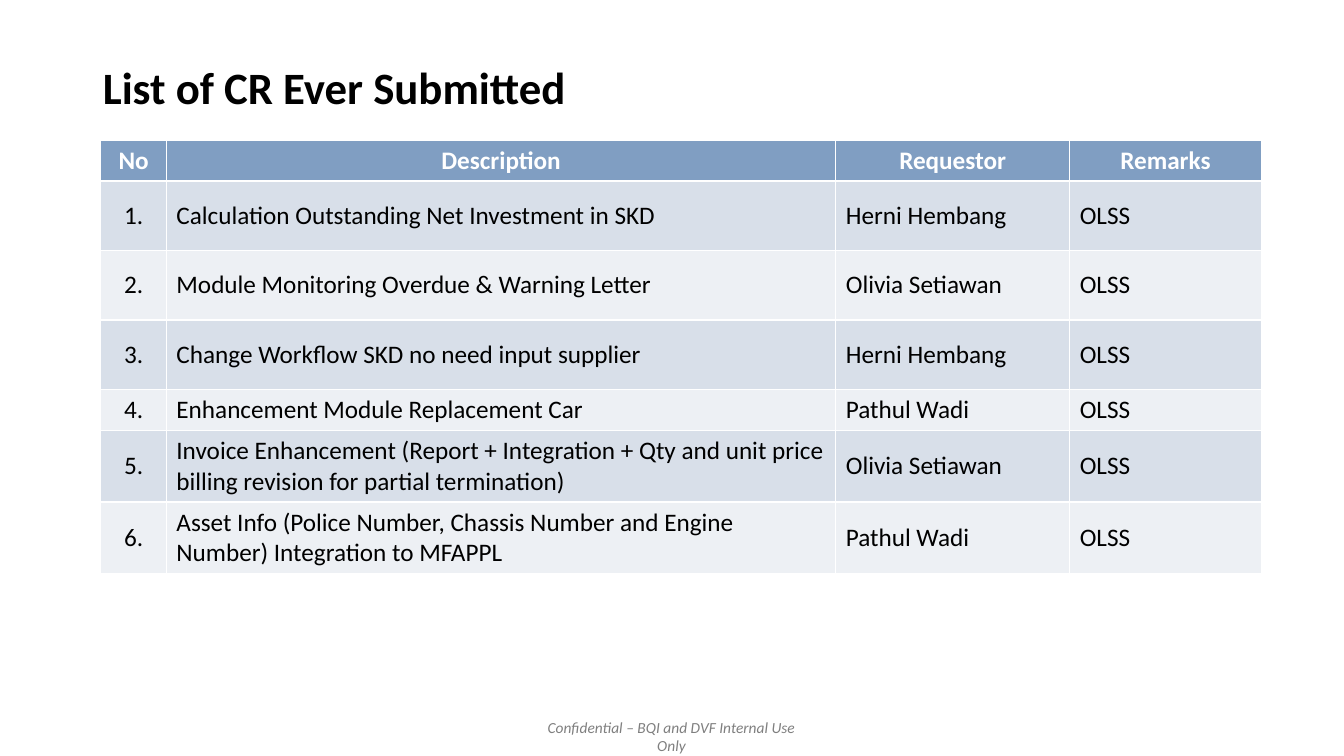
"""Build the slide that lists every change request submitted so far."""
from pptx import Presentation
from pptx.dml.color import RGBColor as RGB
from pptx.enum.text import MSO_ANCHOR as Anchor, PP_ALIGN as Align
from pptx.util import Inches, Pt

THEME = {
    "font": "Calibri",
    "title": {"size": Pt(32), "bold": True, "color": "000000"},
    "head": {"size": Pt(18), "bold": True, "color": "FFFFFF"},
    "body": {"size": Pt(18), "bold": False, "color": "000000"},
    "foot": {"size": Pt(11), "italic": True, "color": "7F7F7F"},
    "head_fill": "809EC2",
    "bands": ["D8DFE9", "EDF0F4"],
}
HEADS = ["No", "Description", "Requestor", "Remarks"]
ITEMS = [
    ("Calculation Outstanding Net Investment in SKD", "Herni Hembang"),
    ("Module Monitoring Overdue & Warning Letter", "Olivia Setiawan"),
    ("Change Workflow SKD no need input supplier", "Herni Hembang"),
    ("Enhancement Module Replacement Car", "Pathul Wadi"),
    ("Invoice Enhancement (Report + Integration + Qty and unit price "
     "billing revision for partial termination)", "Olivia Setiawan"),
    ("Asset Info (Police Number, Chassis Number and Engine Number) "
     "Integration to MFAPPL", "Pathul Wadi"),
]
WIDTHS = [0.65, 6.64, 2.32, 1.9]
HEIGHTS = [0.4, 0.69, 0.69, 0.69, 0.4, 0.69, 0.69]


def write(frame, text, style, align):
    frame.text = text
    para = frame.paragraphs[0]
    para.alignment = align
    font = para.runs[0].font
    font.name = THEME["font"]
    for key, value in THEME[style].items():
        if key == "color":
            font.color.rgb = RGB.from_string(value)
        else:
            setattr(font, key, value)
    return para


deck = Presentation()
deck.slide_width, deck.slide_height = Inches(13.33), Inches(7.5)
slide = deck.slides.add_slide(deck.slide_layouts[5])

title = slide.shapes.title
title.left, title.top = Inches(0.92), Inches(0.4)
title.width, title.height = Inches(11.5), Inches(0.99)
title.text_frame.vertical_anchor = Anchor.MIDDLE
para = write(title.text_frame, "List of CR Ever Submitted", "title", Align.LEFT)
para.line_spacing = 0.9

rows = [HEADS]
for num, (task, name) in enumerate(ITEMS, 1):
    rows.append([f"{num}.", task, name, "OLSS"])

frame = slide.shapes.add_table(len(rows), len(HEADS), Inches(1), Inches(1.39),
                               Inches(sum(WIDTHS)), Inches(sum(HEIGHTS)))
table = frame.table
for col, width in zip(table.columns, WIDTHS):
    col.width = Inches(width)
for row, height in zip(table.rows, HEIGHTS):
    row.height = Inches(height)

for r, row in enumerate(rows):
    style = "body" if r else "head"
    shade = THEME["bands"][(r - 1) % 2] if r else THEME["head_fill"]
    for c, text in enumerate(row):
        cell = table.cell(r, c)
        cell.fill.solid()
        cell.fill.fore_color.rgb = RGB.from_string(shade)
        cell.vertical_anchor = Anchor.MIDDLE if r else Anchor.TOP
        align = Align.LEFT if r and c else Align.CENTER
        write(cell.text_frame, text, style, align)

foot = slide.shapes.add_textbox(Inches(5.19), Inches(7.16), Inches(2.94), Inches(0.29))
foot.text_frame.word_wrap = False
foot.text_frame.vertical_anchor = Anchor.MIDDLE
write(foot.text_frame, "Confidential – BQI and DVF Internal Use Only", "foot", Align.CENTER)

deck.save("out.pptx")
